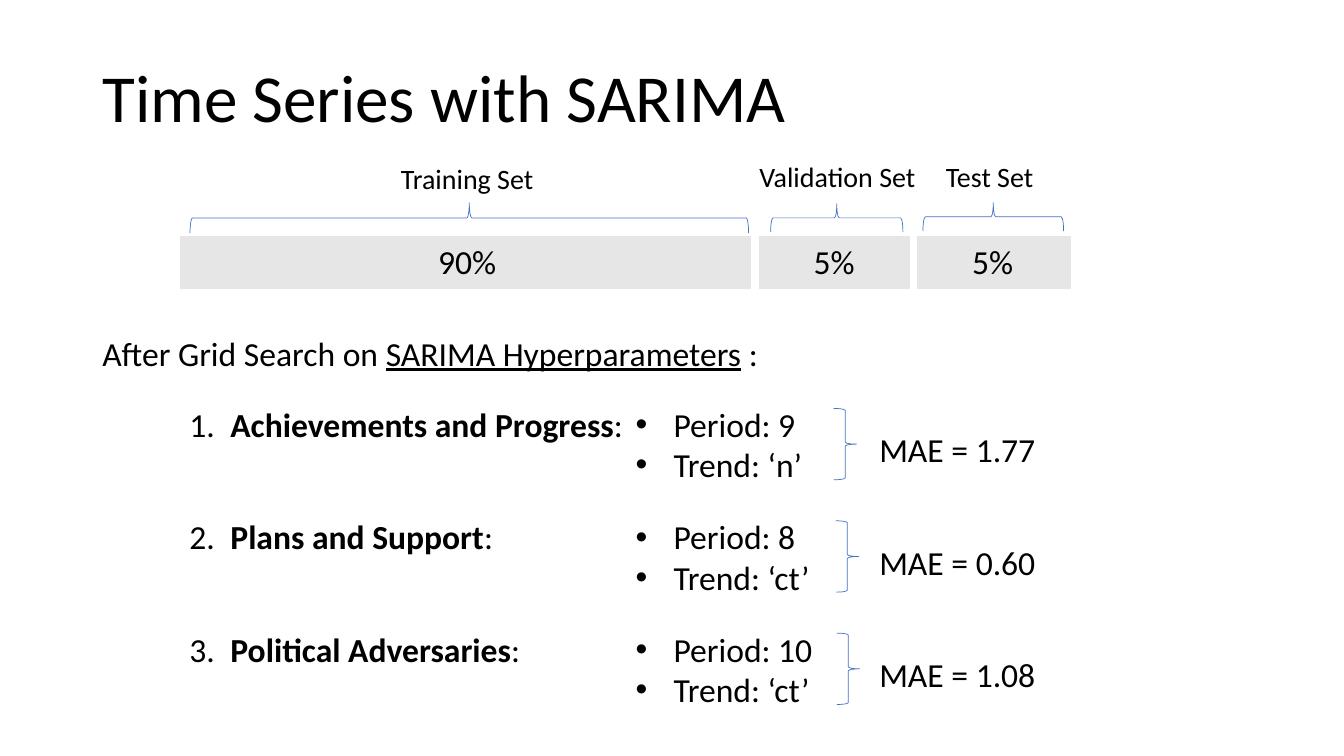
import pptx
import pptx.util
import pptx.dml.color
import pptx.enum.shapes
import pptx.enum.text
import pptx.oxml
import pptx.oxml.ns

ALIGN = pptx.enum.text.PP_ALIGN
ANCHOR = pptx.enum.text.MSO_ANCHOR
DRAWING = pptx.oxml.ns.nsdecls("a")


def px(length):
    return pptx.util.Emu(round(length * 9525))


def colour(value):
    return pptx.dml.color.RGBColor.from_string(value)


class SlideBuilder:
    font = "Calibri"
    ink = "000000"
    accent = "4472C4"
    band = "E7E6E6"
    gap = "FFFFFF"
    body = 24

    def __init__(self, slide):
        self.slide = slide

    def add_runs(self, paragraph, runs, size, align=ALIGN.LEFT):
        paragraph.alignment = align
        for wording, emphasis in runs:
            run = paragraph.add_run()
            run.text = wording
            run.font.name = self.font
            run.font.size = pptx.util.Pt(size)
            run.font.color.rgb = colour(self.ink)
            run.font.bold = emphasis == "bold"
            run.font.underline = emphasis == "underline"

    def hang(self, paragraph, indent, bullet=None):
        properties = paragraph._p.get_or_add_pPr()
        properties.set("marL", str(px(indent)))
        properties.set("indent", str(-px(indent)))
        if bullet:
            for markup in ('a:buFont %s typeface="Arial"', f'a:buChar %s char="{bullet}"'):
                properties.append(pptx.oxml.parse_xml(f"<{markup % DRAWING}/>"))

    def text(self, left, top, width, height, paragraphs, size=body,
             align=ALIGN.LEFT, anchor=ANCHOR.TOP, indent=0, bullet=None):
        box = self.slide.shapes.add_textbox(px(left), px(top), px(width), px(height))
        frame = box.text_frame
        frame.word_wrap = True
        frame.vertical_anchor = anchor
        for index, runs in enumerate(paragraphs):
            paragraph = frame.add_paragraph() if index else frame.paragraphs[0]
            self.add_runs(paragraph, runs, size, align)
            if indent:
                self.hang(paragraph, indent, bullet)
        return frame

    def brace(self, left, top, width, height):
        shape = self.slide.shapes.add_shape(
            pptx.enum.shapes.MSO_SHAPE.RIGHT_BRACE, px(left), px(top), px(width), px(height))
        shape.shadow.inherit = False
        shape.fill.background()
        shape.line.color.rgb = colour(self.accent)
        shape.line.width = pptx.util.Pt(0.5)
        return shape

    def brace_over(self, left, top, width, height):
        shift = (width - height) / 2
        self.brace(left + shift, top - shift, height, width).rotation = 270

    def border(self, cell, sides):
        properties = cell._tc.get_or_add_tcPr()
        for index, (side, points) in enumerate(sides.items()):
            properties.insert(index, pptx.oxml.parse_xml(
                f'<a:ln{side} {DRAWING} w="{pptx.util.Pt(points)}"><a:solidFill>'
                f'<a:srgbClr val="{self.gap}"/></a:solidFill></a:ln{side}>'))

    def split_bar(self, left, top, height, shares):
        table = self.slide.shapes.add_table(
            1, len(shares), px(left), px(top),
            px(sum(width for _, width in shares)), px(height)).table
        table.first_row = False
        table.horz_banding = False
        last = len(shares) - 1
        for index, (share, width) in enumerate(shares):
            table.columns[index].width = px(width)
            cell = table.cell(0, index)
            cell.vertical_anchor = ANCHOR.MIDDLE
            cell.fill.solid()
            cell.fill.fore_color.rgb = colour(self.band)
            self.add_runs(cell.text_frame.paragraphs[0], [(share, None)], self.body, ALIGN.CENTER)
            self.border(cell, {"L": 6 if index else 1, "R": 6 if index < last else 1,
                               "T": 1, "B": 3})


def main():
    deck = pptx.Presentation()
    deck.slide_width, deck.slide_height = px(1280), px(720)
    page = SlideBuilder(deck.slides.add_slide(deck.slide_layouts[6]))

    title = page.text(88, 26, 1080, 139, [[("Time Series with SARIMA", None)]],
                      size=48, anchor=ANCHOR.MIDDLE)
    title.paragraphs[0].line_spacing = 0.9

    page.split_bar(171, 224, 53, [("90%", 548), ("5%", 151), ("5%", 151)])
    datasets = [
        ("Training Set ", (197, 149, 502, 42), (181, 193, 532, 29)),
        ("Validation Set", (705, 147, 185, 42), (734, 194, 126, 27)),
        ("Test Set", (879, 147, 127, 42), (879, 193, 134, 27)),
    ]
    for dataset, label_area, brace_area in datasets:
        page.text(*label_area, [[(dataset, None)]], size=20, align=ALIGN.CENTER)
        page.brace_over(*brace_area)

    page.text(88, 312, 677, 48, [[("After Grid Search on ", None),
                                  ("SARIMA Hyperparameters", "underline"), (" :", None)]])

    topics = [
        ("Achievements and Progress", "9", "n", "1.77", 794),
        ("Plans and Support", "8", "ct", "0.60", 796),
        ("Political Adversaries", "10", "ct", "1.08", 797),
    ]
    for index, (topic, period, trend, error, brace_left) in enumerate(topics):
        top = 380 + 107 * index
        page.text(171, top, 435, 48,
                  [[(f"{index + 1}.\t", None), (topic, "bold"), (":", None)]], indent=39)
        page.text(596, top, 199, 87,
                  [[(f"Period: {period}", None)], [(f"Trend: ‘{trend}’", None)]],
                  indent=36, bullet="•")
        page.brace(brace_left, top + 9, 22, 68)
        page.text(828, top + 24, 170, 48, [[(f"MAE = {error}", None)]])

    deck.save("out.pptx")


if __name__ == "__main__":
    main()
